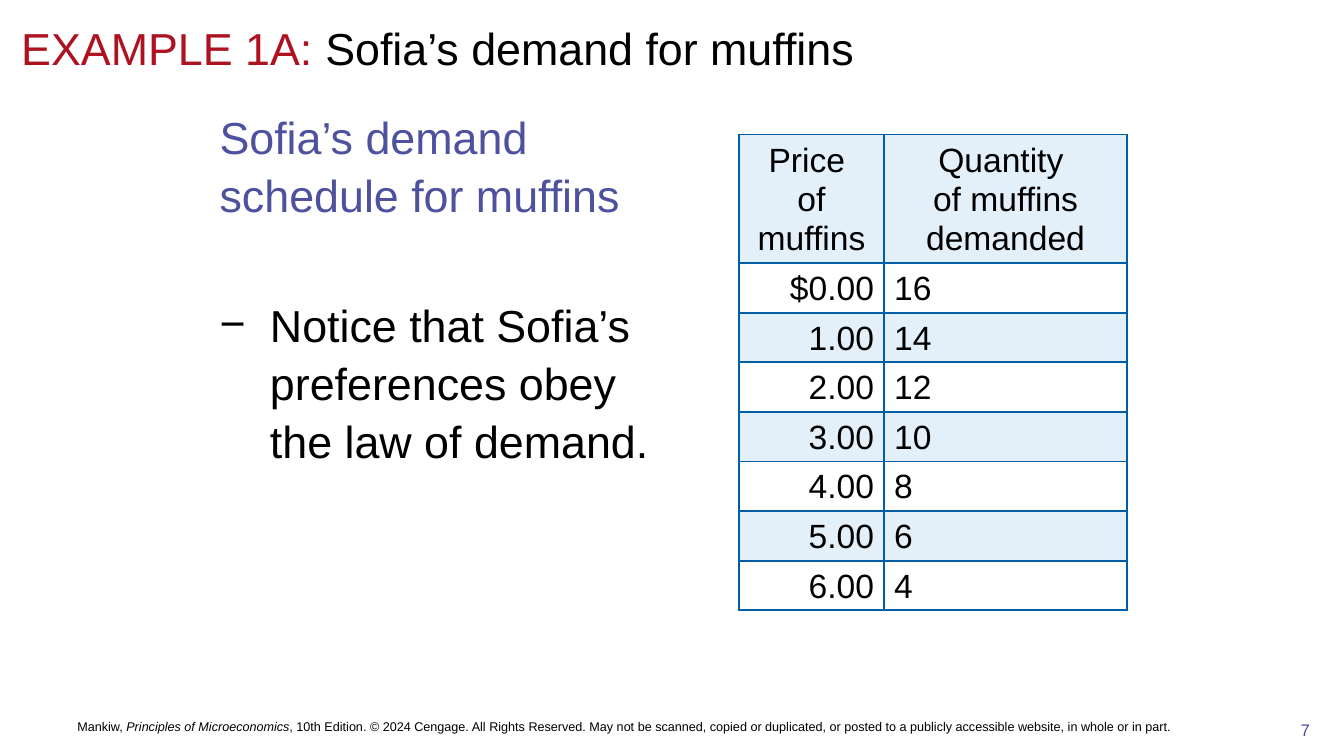
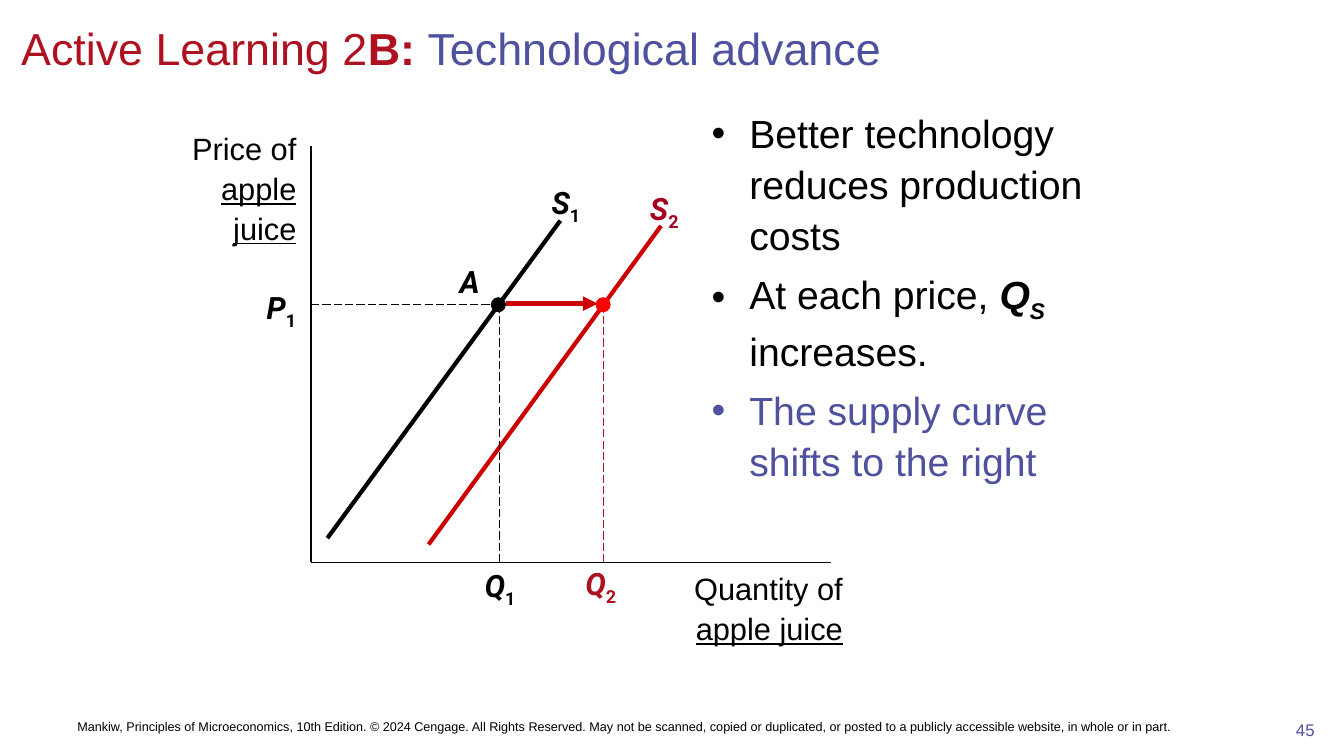
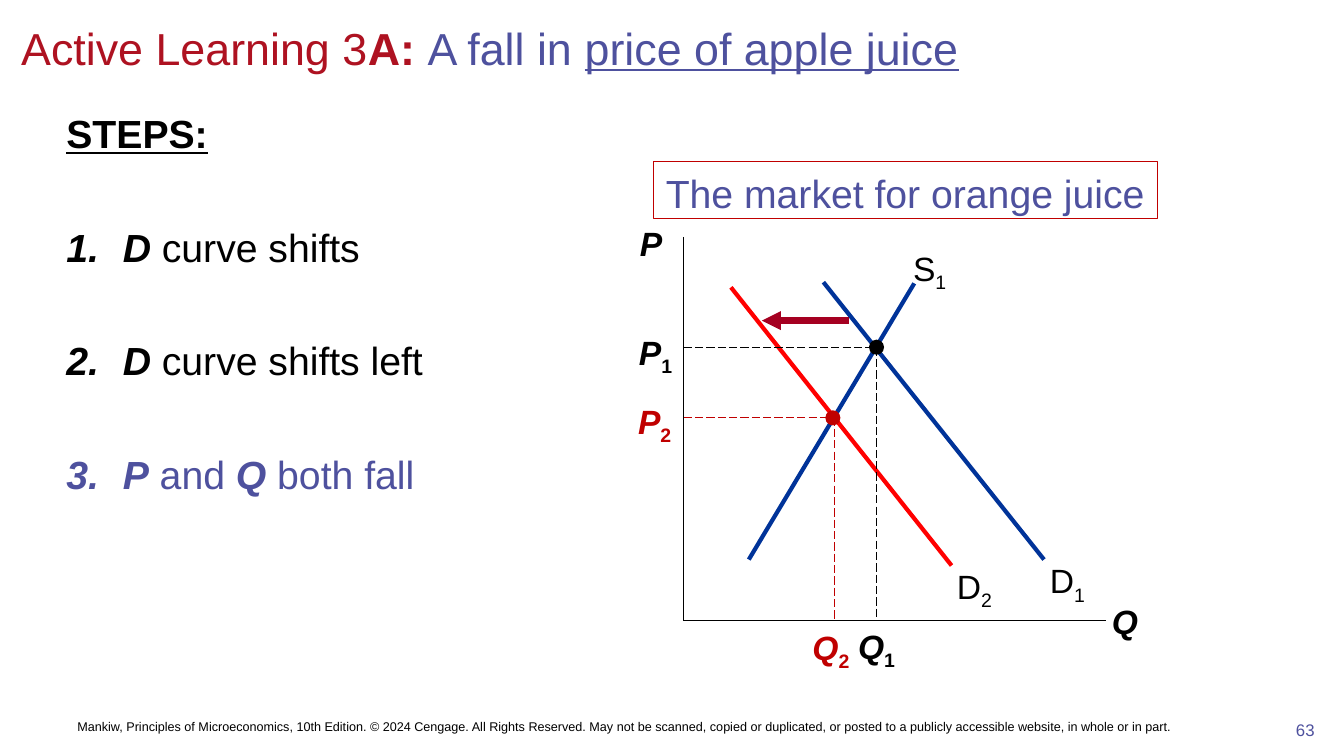
"""Builds three economics slides: a demand schedule and two curve-shift exercises."""
from dataclasses import dataclass

from lxml import etree
from pptx import Presentation
from pptx.dml.color import RGBColor
from pptx.enum.dml import MSO_LINE
from pptx.enum.shapes import MSO_CONNECTOR, MSO_SHAPE
from pptx.enum.text import MSO_ANCHOR, MSO_AUTO_SIZE, PP_ALIGN
from pptx.oxml.ns import qn
from pptx.util import Cm, Pt

LEFT, CENTER, RIGHT = PP_ALIGN.LEFT, PP_ALIGN.CENTER, PP_ALIGN.RIGHT
TOP, MIDDLE = MSO_ANCHOR.TOP, MSO_ANCHOR.MIDDLE
STRAIGHT, OVAL, RECTANGLE = MSO_CONNECTOR.STRAIGHT, MSO_SHAPE.OVAL, MSO_SHAPE.RECTANGLE
LONG_DASH, NO_FIT = MSO_LINE.LONG_DASH, MSO_AUTO_SIZE.NONE


@dataclass(frozen=True)
class Theme:
    """Colours, fonts and type sizes of the deck."""
    ink: str = "000000"
    paper: str = "FFFFFF"
    red: str = "AE1221"
    indigo: str = "4E519E"
    band: str = "E3F0FA"
    rule: str = "005EA4"
    navy: str = "003399"
    wine: str = "A50021"
    scarlet: str = "CC0000"
    bright: str = "FF0000"
    brick: str = "C00000"
    font: str = "Arial"
    graph_font: str = "Roboto"
    heading: int = 32
    body: int = 28
    table: int = 24
    axis: int = 22
    number: int = 12
    footer: int = 9
    leading: float = 1.08
    table_leading: float = 1.05


T = Theme()

RIGHTS = (", 10th Edition. © 2024 Cengage. All Rights Reserved. May not be scanned, copied or "
          "duplicated, or posted to a publicly accessible website, in whole or in part.")
BOOK = "Principles of Microeconomics"

SCHEDULE = [
    ("Price \nof muffins", "Quantity \nof muffins demanded"),
    ("$0.00", "16"), ("1.00", "14"), ("2.00", "12"), ("3.00", "10"),
    ("4.00", "8"), ("5.00", "6"), ("6.00", "4"),
]

DASH = dict(bullet="−", indent=1.27)
DOT = dict(bullet="•", indent=0.95)
STEP = dict(bullet="1.", indent=1.42, before=44.8)

SLIDES = [
    dict(
        number="7", book_style="i",
        title=[("EXAMPLE 1A: ", "", T.red), ("Sofia’s demand for muffins",)],
        body_box=(5.28, 2.54, 12.07, 14.6), body_size=T.heading,
        body=[
            ([("Sofia’s demand schedule for muffins", "", T.indigo)], {}),
            ([("Notice that Sofia’s preferences obey the law of demand.",)],
             dict(DASH, before=50.7)),
        ],
    ),
    dict(
        number="45", book_style="",
        title=[("Active Learning 2", "", T.red), ("B: ", "b", T.red),
               ("Technological advance", "", T.indigo)],
        body_box=(17.68, 2.54, 11.28, 14.6), body_size=T.body,
        body=[
            ([("Better technology reduces production costs",)], DOT),
            ([("At each price, ",), ("Q", "bi"), ("S", "bis"), (" increases.",)],
             dict(DOT, before=5.6)),
            ([("The supply curve shifts to the right", "", T.indigo)], dict(DOT, before=5.6)),
        ],
    ),
    dict(
        number="63", book_style="",
        title=[("Active Learning 3", "", T.red), ("A: ", "b", T.red),
               ("A fall in ", "", T.indigo), ("price of apple juice", "u", T.indigo)],
        body_box=(1.42, 2.54, 31.55, 14.6), body_size=T.body,
        body=[
            ([("STEPS:", "bu")], {}),
            ([("D", "bi"), (" curve shifts",)], STEP),
            ([("D", "bi"), (" curve shifts left",)], STEP),
            ([("P", "bi", T.indigo), (" and ", "", T.indigo), ("Q", "bi", T.indigo),
              (" both fall", "", T.indigo)], STEP),
        ],
    ),
]

SUPPLY_SHIFT = dict(
    origin=(7.84, 14.17), axis_ends=(20.93, 3.68), font=T.graph_font, size=T.axis,
    curves=[((14.12, 5.56), (8.25, 13.56), T.ink), ((16.66, 5.69), (10.8, 13.72), T.scarlet)],
    guides=[((7.84, 7.67), (12.6, 7.67), T.ink), ((12.6, 7.67), (12.6, 14.15), T.ink),
            ((12.6, 7.65), (15.21, 7.65), T.ink), ((15.21, 7.67), (15.21, 14.15), T.red)],
    arrow=((12.75, 7.65), (15.06, 7.65), T.scarlet, 3.5),
    points=[((12.56, 7.68), T.ink), ((15.2, 7.68), T.bright)],
    labels=[("S", "1", "bi", 14.26, 4.55, T.ink), ("S", "2", "bi", 16.74, 4.7, T.wine),
            ("A", "", "bi", 11.84, 6.55, T.ink), ("P", "1", "bi", 7.09, 7.19, T.ink),
            ("Q", "1", "bi", 12.6, 14.2, T.ink), ("Q", "2", "bi", 15.14, 14.15, T.red)],
)
AXIS_NAMES = [("Price of ", (3.81, 3.07, 3.91, 3.07)), ("Quantity of ", (15.34, 14.17, 6.15, 2.13))]

DEMAND_SHIFT = dict(
    origin=(17.23, 15.64), axis_ends=(27.86, 5.97), font=T.font, size=T.table,
    curves=[((20.75, 7.11), (26.31, 14.1), T.navy), ((18.87, 14.1), (23.04, 7.14), T.navy),
            ((18.42, 7.24), (23.98, 14.25), T.bright)],
    guides=[((17.23, 8.76), (22.1, 8.76), T.ink), ((22.1, 8.76), (22.1, 15.64), T.ink),
            ((17.23, 10.52), (21.03, 10.52), T.brick), ((21.03, 10.52), (21.03, 15.64), T.brick)],
    arrow=((21.39, 8.08), (19.2, 8.08), T.wine, 4.5),
    points=[((22.09, 8.75), T.ink), ((20.99, 10.53), T.brick)],
    labels=[("P", "", "bi", 16.41, 5.54, T.ink), ("Q", "", "bi", 28.35, 15.06, T.ink),
            ("D", "1", "", 26.9, 14.02, T.ink), ("D", "2", "", 24.56, 14.17, T.ink),
            ("S", "1", "", 23.43, 6.15, T.ink), ("P", "1", "bi", 16.52, 8.26, T.ink),
            ("Q", "1", "bi", 22.09, 15.67, T.ink), ("P", "2", "bi", 16.5, 10.01, T.brick),
            ("Q", "2", "bi", 20.94, 15.7, T.brick)],
)
MARKET = [("The market for orange juice", "", T.indigo)]


def rgb(color):
    return RGBColor.from_string(color)


def write(paragraph, runs, *, size, font=T.font, align=LEFT, bullet="", indent=0, before=0,
          leading=1.0):
    """Fill a paragraph with (text, flags, colour) runs; flags are b, i, u and s for subscript."""
    props = paragraph._p.get_or_add_pPr()
    props.set("marL", str(Cm(indent)))
    props.set("indent", str(-Cm(indent)))
    if bullet == "1.":
        etree.SubElement(props, qn("a:buAutoNum"), type="arabicPeriod")
    elif bullet:
        etree.SubElement(props, qn("a:buFont"), typeface=T.font)
        etree.SubElement(props, qn("a:buChar"), char=bullet)
    else:
        etree.SubElement(props, qn("a:buNone"))
    paragraph.alignment, paragraph.line_spacing = align, leading
    paragraph.space_before = Pt(before)
    for text, flags, color in ((*run, "", T.ink)[:3] if len(run) != 2 else (*run, T.ink)
                               for run in runs):
        for position, line in enumerate(text.split("\n")):
            if position:
                paragraph.add_line_break()
            run = paragraph.add_run()
            run.text = line
            run.font.name, run.font.size = font, Pt(size)
            run.font.bold, run.font.italic = "b" in flags, "i" in flags
            run.font.underline = "u" in flags
            run.font.color.rgb = rgb(color)
            if "s" in flags:
                run._r.get_or_add_rPr().set("baseline", "-25000")


def place(shape, box):
    shape.left, shape.top, shape.width, shape.height = map(Cm, box)


def prepare(shape, anchor=TOP):
    frame = shape.text_frame
    frame.word_wrap, frame.auto_size, frame.vertical_anchor = True, NO_FIT, anchor
    return frame


def text_box(slide, box, runs, *, anchor=TOP, inset=True, **text_format):
    frame = prepare(slide.shapes.add_textbox(*map(Cm, box)), anchor)
    if not inset:
        frame.margin_left = frame.margin_right = frame.margin_top = frame.margin_bottom = 0
    write(frame.paragraphs[0], runs, **text_format)


def line(slide, start, end, color, width, dashed=False, arrow=False):
    connector = slide.shapes.add_connector(STRAIGHT, *map(Cm, (*start, *end)))
    connector.line.color.rgb, connector.line.width = rgb(color), Pt(width)
    if dashed:
        connector.line.dash_style = LONG_DASH
    if arrow:
        etree.SubElement(connector.line._get_or_add_ln(), qn("a:tailEnd"), type="triangle")
    etree.SubElement(connector._element.spPr, qn("a:effectLst"))


def filled(slide, kind, box, fill, outline=None):
    shape = slide.shapes.add_shape(kind, *map(Cm, box))
    shape.shadow.inherit = False
    shape.fill.solid()
    shape.fill.fore_color.rgb = rgb(fill)
    if outline:
        shape.line.color.rgb, shape.line.width = rgb(outline), Pt(0.75)
    else:
        shape.line.fill.background()
    return shape


def start_slide(deck, content):
    slide = deck.slides.add_slide(deck.slide_layouts[1])
    place(slide.shapes.title, (0.28, 0.28, 33.02, 1.83))
    write(prepare(slide.shapes.title, MIDDLE).paragraphs[0], content["title"], size=T.heading)

    body = slide.placeholders[1]
    place(body, content["body_box"])
    frame = prepare(body)
    for index, (runs, text_format) in enumerate(content["body"]):
        paragraph = frame.add_paragraph() if index else frame.paragraphs[0]
        write(paragraph, runs, size=content["body_size"], leading=T.leading, **text_format)

    text_box(slide, (31.93, 17.98, 1.93, 1.04), [(content["number"], "", T.indigo)],
             size=T.number, align=CENTER, leading=T.leading)
    text_box(slide, (1.7, 17.58, 30.76, 1.47),
             [("Mankiw, ",), (BOOK, content["book_style"]), (RIGHTS,)],
             size=T.footer, anchor=MIDDLE)
    return slide


def border(cell):
    props = cell._tc.get_or_add_tcPr()
    for position, side in enumerate(("lnL", "lnR", "lnT", "lnB")):
        edge = etree.Element(qn(f"a:{side}"), w=str(Pt(1.5)))
        paint = etree.SubElement(edge, qn("a:solidFill"))
        etree.SubElement(paint, qn("a:srgbClr"), val=T.rule)
        props.insert(position, edge)


def draw_schedule(slide):
    widths, header_height, row_height = (3.66, 6.12), 3.24, 1.25
    height = header_height + row_height * (len(SCHEDULE) - 1)
    table = slide.shapes.add_table(len(SCHEDULE), len(widths),
                                   *map(Cm, (18.62, 3.39, sum(widths), height))).table
    table.first_row = table.horz_banding = False
    for column, width in zip(table.columns, widths):
        column.width = Cm(width)
    for index, entries in enumerate(SCHEDULE):
        table.rows[index].height = Cm(row_height if index else header_height)
        for column, entry in enumerate(entries):
            cell = table.cell(index, column)
            cell.vertical_anchor = MIDDLE
            cell.fill.solid()
            cell.fill.fore_color.rgb = rgb(T.paper if index % 2 else T.band)
            border(cell)
            write(cell.text_frame.paragraphs[0], [(entry,)], size=T.table,
                  align=(RIGHT, LEFT)[column] if index else CENTER, leading=T.table_leading)


def draw_graph(slide, graph):
    (left, bottom), (right, top) = graph["origin"], graph["axis_ends"]
    line(slide, (left, top), (left, bottom), T.ink, 1)
    line(slide, (left, bottom), (right, bottom), T.ink, 1)
    for start, end, color in graph["curves"]:
        line(slide, start, end, color, 3)
    for start, end, color in graph["guides"]:
        line(slide, start, end, color, 0.75, dashed=True)
    line(slide, *graph["arrow"], arrow=True)
    diameter = 0.38
    for (x, y), color in graph["points"]:
        filled(slide, OVAL, (x - diameter / 2, y - diameter / 2, diameter, diameter), color)
    width, height = 1.5, 1.02
    for letter, index, flags, x, y, color in graph["labels"]:
        runs = [(letter, flags, color)]
        if index:
            runs.append((index, flags.replace("i", "") + "s", color))
        text_box(slide, (x - width / 2, y, width, height), runs, inset=False, align=CENTER,
                 size=graph["size"], font=graph["font"], leading=T.leading)


def main():
    deck = Presentation()
    deck.slide_width, deck.slide_height = Cm(33.87), Cm(19.05)
    schedule, supply, demand = (start_slide(deck, content) for content in SLIDES)

    draw_schedule(schedule)

    draw_graph(supply, SUPPLY_SHIFT)
    for name, box in AXIS_NAMES:
        text_box(supply, box, [(name,), ("apple juice", "u")], size=T.axis, align=RIGHT,
                 leading=T.leading)

    draw_graph(demand, DEMAND_SHIFT)
    market = filled(demand, RECTANGLE, (16.46, 4.06, 12.7, 1.45), T.paper, T.brick)
    write(prepare(market).paragraphs[0], MARKET, size=T.body, align=CENTER, leading=T.leading)

    deck.save("out.pptx")


if __name__ == "__main__":
    main()
